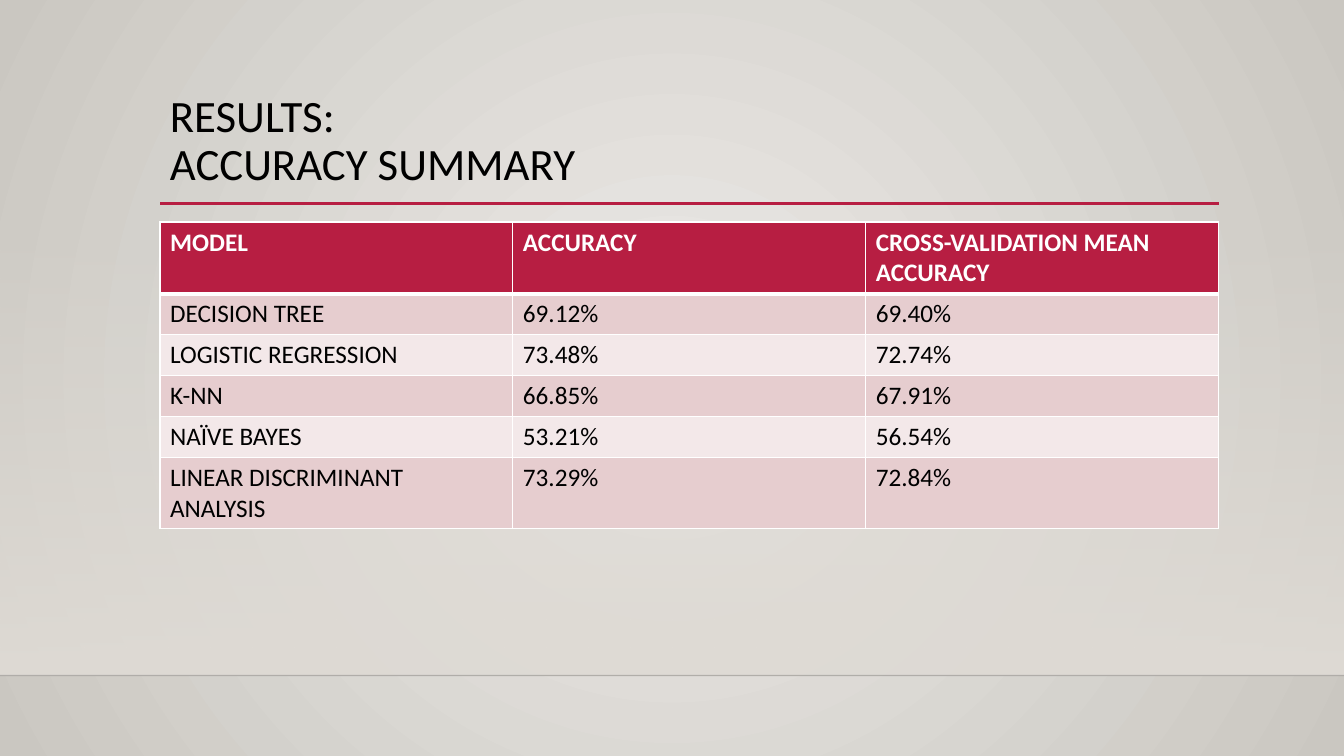
from dataclasses import dataclass
from lxml import etree
from pptx import Presentation
from pptx.dml.color import RGBColor
from pptx.enum.shapes import MSO_CONNECTOR, MSO_SHAPE
from pptx.enum.text import MSO_ANCHOR
from pptx.oxml import parse_xml
from pptx.oxml.ns import nsdecls, qn
from pptx.util import Pt


@dataclass(frozen=True)
class Theme:
    font: str = "Calibri"
    title_size: int = 32
    table_size: int = 18
    text: str = "000000"
    white: str = "FFFFFF"
    accent: str = "B71E42"
    bands: tuple = ("E6CDCF", "F3E8E9")
    center: str = "ECEAE7"
    edge: str = "CAC7C1"
    wall: str = "DFDBD5"
    floor_line: str = "000001"


THEME = Theme()
WIDTH, HEIGHT = 960, 540
RESULTS = [
    ("MODEL", "ACCURACY", "CROSS-VALIDATION MEAN ACCURACY"),
    ("DECISION TREE", "69.12%", "69.40%"),
    ("LOGISTIC REGRESSION", "73.48%", "72.74%"),
    ("K-NN", "66.85%", "67.91%"),
    ("NAÏVE BAYES", "53.21%", "56.54%"),
    ("LINEAR DISCRIMINANT ANALYSIS", "73.29%", "72.84%"),
]
ROW_HEIGHTS = [51.2, 29.2, 29.2, 29.2, 29.2, 51.2]


def color(value):
    return RGBColor.from_string(value)


def set_gradient(fill, element, stops, direction):
    """Fill with (position, colour, opacity) stops, all in percent."""
    fill.gradient()
    old = next(element.iter(qn("a:gradFill")))
    stop_xml = "".join(
        f'<a:gs pos="{position * 1000}"><a:srgbClr val="{value}">'
        f'<a:alpha val="{opacity * 1000}"/></a:srgbClr></a:gs>'
        for position, value, opacity in stops)
    old.getparent().replace(old, parse_xml(
        f'<a:gradFill {nsdecls("a")} rotWithShape="1">'
        f'<a:gsLst>{stop_xml}</a:gsLst>{direction}</a:gradFill>'))


def add_rule(slide, left, top, width, value, weight, opacity=100):
    rule = slide.shapes.add_connector(
        MSO_CONNECTOR.STRAIGHT, Pt(left), Pt(top), Pt(left + width), Pt(top))
    rule.line.color.rgb = color(value)
    rule.line.width = Pt(weight)
    if opacity < 100:
        paint = next(rule.element.iter(qn("a:srgbClr")))
        etree.SubElement(paint, qn("a:alpha"), val=str(opacity * 1000))
    etree.SubElement(rule.element.spPr, qn("a:effectLst"))


def add_backdrop(slide, left, top, width, height):
    # Radial background
    set_gradient(slide.background.fill, slide.element,
                 [(0, THEME.center, 100), (100, THEME.edge, 100)],
                 '<a:path path="circle"><a:fillToRect l="50000" t="50000" '
                 'r="50000" b="50000"/></a:path>')
    # Wall fading in towards the floor line
    wall = slide.shapes.add_shape(
        MSO_SHAPE.RECTANGLE, Pt(left), Pt(top), Pt(width), Pt(height))
    wall.shadow.inherit = False
    wall.line.fill.background()
    set_gradient(wall.fill, wall.element.spPr,
                 [(0, THEME.wall, 0), (100, THEME.wall, 100)],
                 '<a:lin ang="5400000" scaled="0"/>')
    add_rule(slide, left, top + height, width, THEME.floor_line, 1, opacity=20)


def add_title(slide, left, top, width, height, text):
    frame = slide.shapes.add_textbox(
        Pt(left), Pt(top), Pt(width), Pt(height)).text_frame
    frame.word_wrap = True
    frame.vertical_anchor = MSO_ANCHOR.TOP
    paragraph = frame.paragraphs[0]
    paragraph.text = text
    paragraph.line_spacing = 0.9
    style_text(paragraph, THEME.title_size, THEME.text)
    # Accent rule under the title
    add_rule(slide, left, top + height, width, THEME.accent, 2.5)


def style_text(paragraph, size, value, bold=False):
    font = paragraph.font
    font.name, font.size, font.bold = THEME.font, Pt(size), bold
    font.color.rgb = color(value)


def set_borders(cell, weights):
    properties = cell._tc.get_or_add_tcPr()
    for index, (side, weight) in enumerate(weights.items()):
        properties.insert(index, parse_xml(
            f'<a:ln{side} {nsdecls("a")} w="{Pt(weight)}"><a:solidFill>'
            f'<a:srgbClr val="{THEME.white}"/></a:solidFill></a:ln{side}>'))


def add_results_table(slide, left, top, width, rows, heights):
    column_count = len(rows[0])
    table = slide.shapes.add_table(
        len(rows), column_count, Pt(left), Pt(top), Pt(width),
        Pt(sum(heights))).table
    for column in table.columns:
        column.width = Pt(width / column_count)
    for row_index, (values, height) in enumerate(zip(rows, heights)):
        table.rows[row_index].height = Pt(height)
        header = row_index == 0
        background = THEME.accent if header else THEME.bands[(row_index - 1) % 2]
        for column_index, value in enumerate(values):
            cell = table.cell(row_index, column_index)
            cell.text = value
            cell.fill.solid()
            cell.fill.fore_color.rgb = color(background)
            style_text(cell.text_frame.paragraphs[0], THEME.table_size,
                       THEME.white if header else THEME.text, bold=header)
            # Thick line between header and body
            set_borders(cell, {"L": 1, "R": 1, "T": 3 if row_index == 1 else 1,
                               "B": 3 if header else 1})


presentation = Presentation()
presentation.slide_width, presentation.slide_height = Pt(WIDTH), Pt(HEIGHT)
slide = presentation.slides.add_slide(presentation.slide_layouts[6])
add_backdrop(slide, 0, 159, WIDTH, 323.5)
add_title(slide, 114.3, 63.35, 756.2, 82.1, "RESULTS:\vACCURACY SUMMARY")
add_results_table(slide, 114.3, 158.6, 756.2, RESULTS, ROW_HEIGHTS)
presentation.save("out.pptx")
